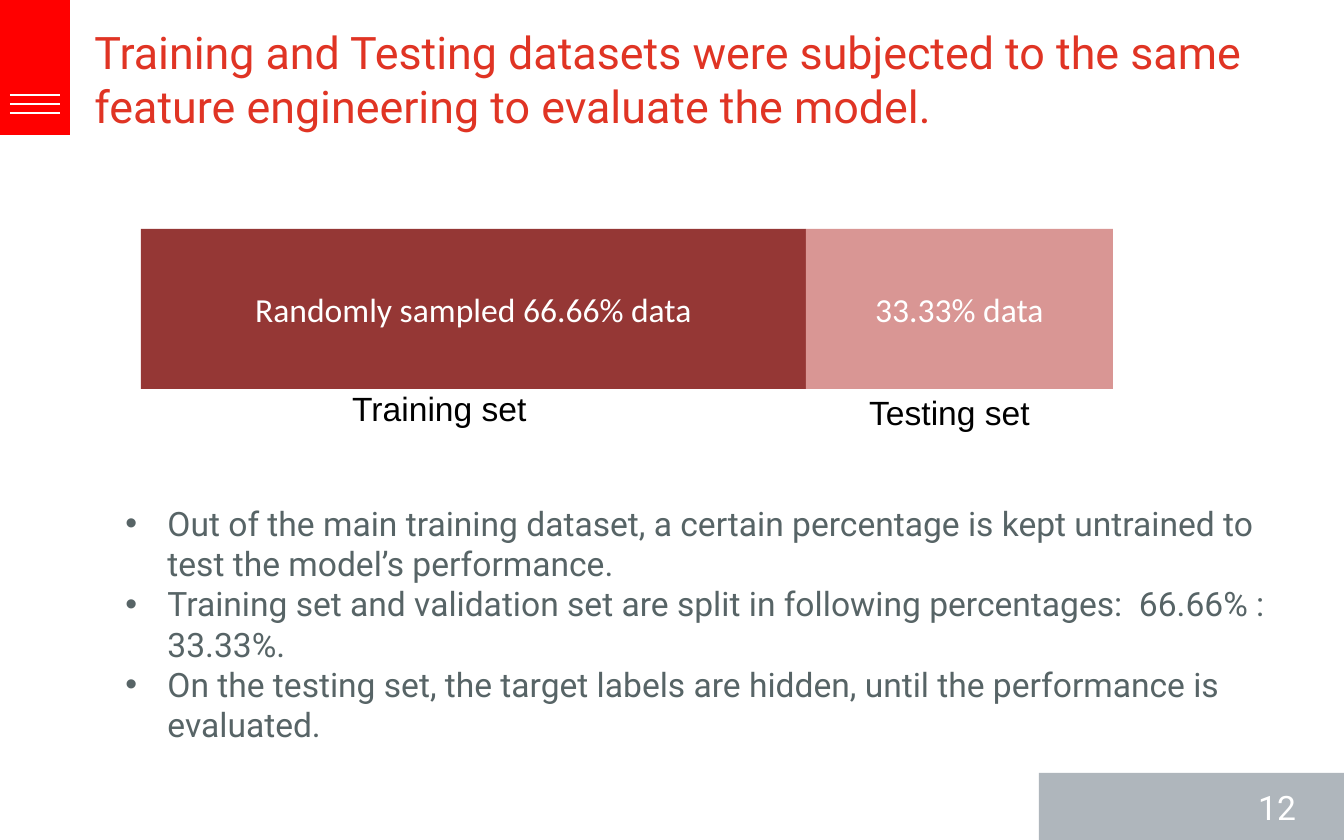
"""Build the slide on the split between training and testing data."""
from lxml import etree
from pptx import Presentation
from pptx.dml.color import RGBColor
from pptx.enum.shapes import MSO_CONNECTOR, MSO_SHAPE
from pptx.enum.text import MSO_ANCHOR, MSO_AUTO_SIZE, PP_ALIGN
from pptx.oxml.ns import qn
from pptx.util import Emu, Pt

RECTANGLE = MSO_SHAPE.RECTANGLE
STRAIGHT = MSO_CONNECTOR.STRAIGHT
TOP, MIDDLE = MSO_ANCHOR.TOP, MSO_ANCHOR.MIDDLE
LEFT, CENTER = PP_ALIGN.LEFT, PP_ALIGN.CENTER
NO_AUTOFIT = MSO_AUTO_SIZE.NONE

WHITE = RGBColor(0xFF, 0xFF, 0xFF)
BLACK = RGBColor(0, 0, 0)
RED = RGBColor(0xFF, 0, 0)
TITLE_RED = RGBColor(0xE0, 0x34, 0x24)
BODY_GRAY = RGBColor(0x57, 0x64, 0x66)
FOOTER_GRAY = RGBColor(0xAF, 0xB6, 0xBC)
TRAINING_RED = RGBColor(0x95, 0x37, 0x35)
TESTING_PINK = RGBColor(0xD9, 0x96, 0x94)

EMU_PER_PX = 914400 / 134.4
BULLET_INDENT = 42

TITLE = [
    "Training and Testing datasets were subjected to the same",
    "feature engineering to evaluate the model.",
]
BULLETS = [
    "Out of the main training dataset, a certain percentage is kept untrained to test the model’s performance.",
    "Training set and validation set are split in following percentages:  66.66% : 33.33%.",
    "On the testing set, the target labels are hidden, until the performance is evaluated.",
]


def px(length):
    """Turn px into EMU."""
    return Emu(round(length * EMU_PER_PX))


def set_attributes(target, values):
    """Set each attribute named in a dict."""
    for name, value in values.items():
        setattr(target, name, value)


def place(shape, left, top, width, height):
    """Move and size a shape in px."""
    box = {"left": left, "top": top, "width": width, "height": height}
    set_attributes(shape, {name: px(length) for name, length in box.items()})


def write_text(shape, lines, font, size, color, align=LEFT, anchor=TOP, wrap=True):
    """Fill a shape with one formatted paragraph per line."""
    frame = shape.text_frame
    frame.text = "\n".join(lines)
    set_attributes(frame, {"word_wrap": wrap, "auto_size": NO_AUTOFIT, "vertical_anchor": anchor})
    for paragraph in frame.paragraphs:
        set_attributes(paragraph, {"alignment": align, "space_before": Pt(0)})
        set_attributes(paragraph.font, {"name": font, "size": Pt(size)})
        paragraph.font.color.rgb = color


def add_bullets(shape):
    """Give each paragraph a hanging bullet."""
    for paragraph in shape.text_frame.paragraphs:
        properties = paragraph._p.get_or_add_pPr()
        properties.set("marL", str(px(BULLET_INDENT)))
        properties.set("indent", str(-px(BULLET_INDENT)))
        bullet_font = etree.Element(qn("a:buFont"), typeface="Arial")
        bullet = etree.Element(qn("a:buChar"), char="•")
        position = list(properties).index(properties.find(qn("a:defRPr")))
        properties.insert(position, bullet_font)
        properties.insert(position + 1, bullet)


def add_block(slide, box, color):
    """Add a plain filled rectangle."""
    shape = slide.shapes.add_shape(RECTANGLE, *map(px, box))
    shape.shadow.inherit = False
    shape.fill.solid()
    shape.fill.fore_color.rgb = color
    shape.line.fill.background()
    return shape


def add_label(slide, box, text, font, color):
    """Add a one-line text box."""
    label = slide.shapes.add_textbox(*map(px, box))
    write_text(label, [text], font, 18, color, wrap=False)


def add_rule(slide, left, right, y):
    """Add a thin white horizontal line."""
    rule = slide.shapes.add_connector(STRAIGHT, px(left), px(y), px(right), px(y))
    rule.line.color.rgb = WHITE
    rule.line.width = Pt(1)
    etree.SubElement(rule._element.spPr, qn("a:effectLst"))


def main():
    """Build and save the slide."""
    presentation = Presentation()
    set_attributes(presentation, {"slide_width": px(1344), "slide_height": px(840)})
    slide = presentation.slides.add_slide(presentation.slide_layouts[1])
    title, body = slide.placeholders

    place(title, 81, 18, 1185, 122)
    write_text(title, TITLE, "Roboto", 24, TITLE_RED, wrap=False)
    place(body, 112, 496, 1221, 339)
    write_text(body, BULLETS, "Roboto", 18, BODY_GRAY)
    add_bullets(body)

    add_block(slide, (0, 0, 70, 135), RED)
    for y in (95, 104, 113):
        add_rule(slide, 10, 60, y)

    add_block(slide, (1039, 773, 305, 67), FOOTER_GRAY)
    add_label(slide, (1245, 780, 66, 54), "12", "Roboto", WHITE)

    for left, width, color, text in (
        (141, 665, TRAINING_RED, "Randomly sampled 66.66% data"),
        (806, 307, TESTING_PINK, "33.33% data"),
    ):
        block = add_block(slide, (left, 229, width, 160), color)
        write_text(block, [text], "Calibri", 18, WHITE, CENTER, MIDDLE)

    add_label(slide, (339, 381, 206, 54), "Training set", "Arial", BLACK)
    add_label(slide, (856, 385, 195, 54), "Testing set", "Arial", BLACK)
    presentation.save("out.pptx")


if __name__ == "__main__":
    main()
